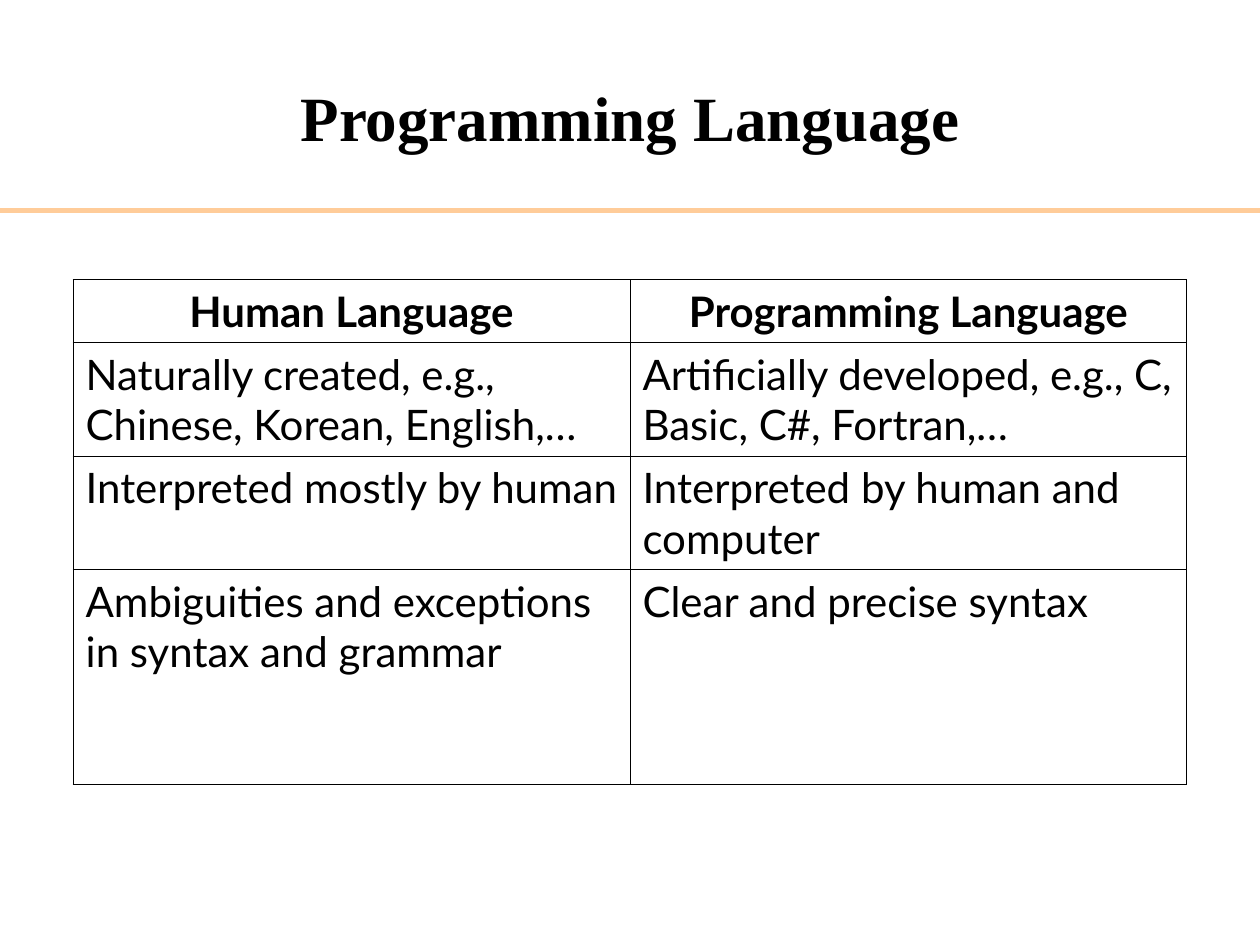
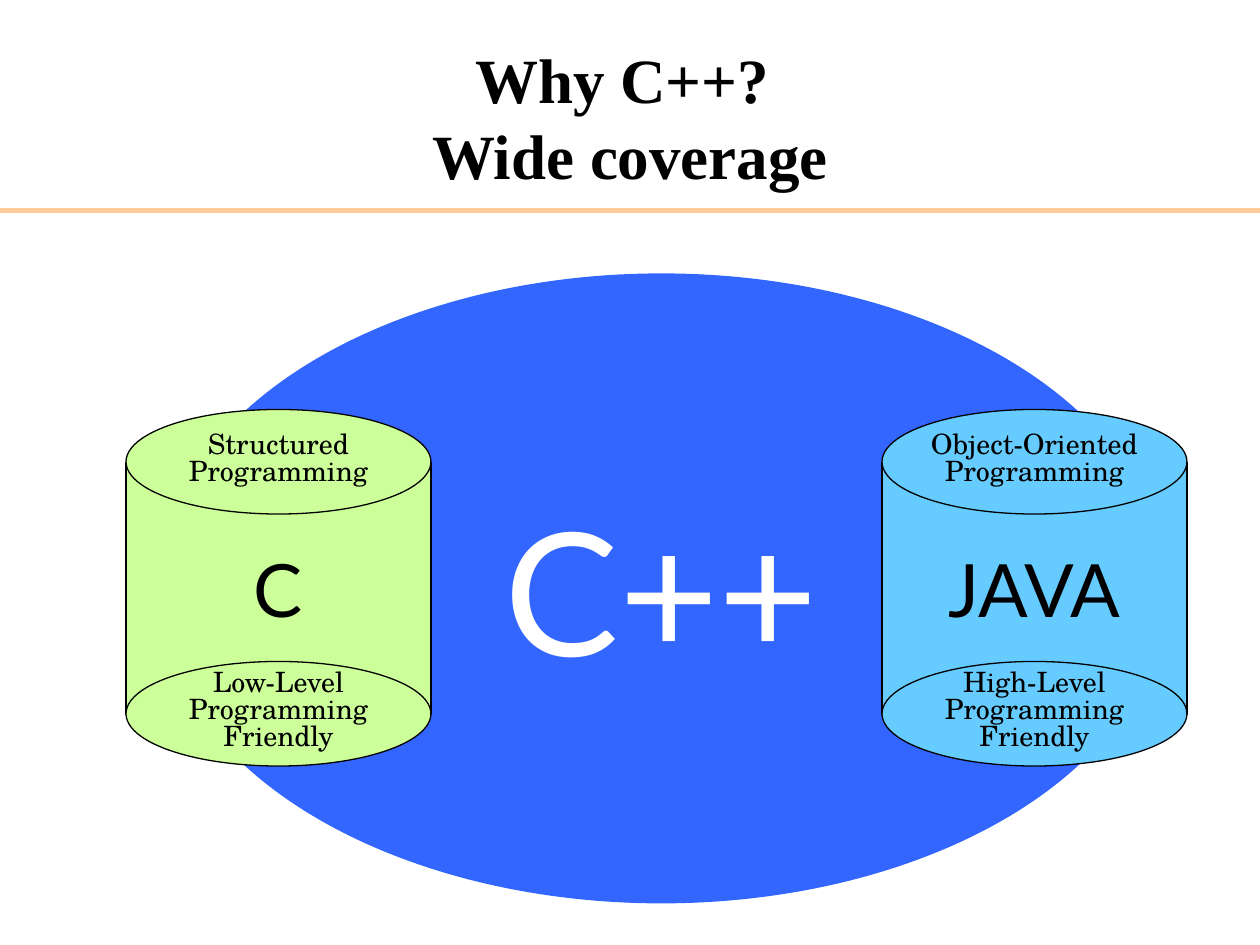
"""Build two slides: human and programming languages compared, and what C++ covers."""
import dataclasses

import pptx
import pptx.dml.color
import pptx.enum.shapes
import pptx.enum.text
import pptx.oxml
import pptx.oxml.ns
import pptx.util
from pptx.util import Inches


@dataclasses.dataclass(frozen=True)
class Theme:
    black: str = "000000"
    white: str = "FFFFFF"
    rule: str = "FFCC99"
    cover: str = "3366FF"
    green: str = "CCFF99"
    sky: str = "66CCFF"
    title_font: str = "Times New Roman"
    body_font: str = "Lato"
    label_font: str = "TeX Gyre Schola"
    title_size: float = 36
    table_size: float = 24
    label_size: float = 16
    name_size: float = 42
    cover_size: float = 98


theme = Theme()
color = pptx.dml.color.RGBColor.from_string
shapes = pptx.enum.shapes.MSO_SHAPE
centre = pptx.enum.text.PP_ALIGN.CENTER
left = pptx.enum.text.PP_ALIGN.LEFT
middle = pptx.enum.text.MSO_ANCHOR.MIDDLE
namespace = pptx.oxml.ns.nsdecls("a")


def write(frame, text, font, size, ink=theme.black, bold=False, align=centre, spacing=None, before=0):
    """Fill a text frame; a newline starts a paragraph, a vertical tab breaks a line."""
    for number, content in enumerate(text.split("\n")):
        para = frame.add_paragraph() if number else frame.paragraphs[0]
        para.alignment = align
        para.line_spacing = spacing
        para.space_before = pptx.util.Pt(before if number else 0)
        for position, part in enumerate(content.split("\v")):
            if position:
                para.add_line_break()
                para._p[-1].append(pptx.oxml.parse_xml(
                    f'<a:rPr {namespace} sz="{size * 100}"><a:latin typeface="{theme.body_font}"/></a:rPr>'))
            span = para.add_run()
            span.text = part
            span.font.name = font
            span.font.size = pptx.util.Pt(size)
            span.font.bold = bold
            span.font.color.rgb = color(ink)


def add_box(page, kind, place, fill, text, outline=theme.black, **style):
    """Add a filled shape with centred text that does not wrap."""
    box = page.shapes.add_shape(kind, *map(Inches, place))
    box.shadow.inherit = False
    box.fill.solid()
    box.fill.fore_color.rgb = color(fill)
    if outline:
        box.line.color.rgb = color(outline)
        box.line.width = pptx.util.Pt(0.75)
    else:
        box.line.fill.background()
    box.text_frame.word_wrap = False
    box.text_frame.vertical_anchor = middle
    write(box.text_frame, text, **style)


deck = pptx.Presentation()
deck.slide_width, deck.slide_height = Inches(10), Inches(7.5)

pages = []
for heading in ("Programming Language", "Why C++? \vWide coverage"):
    page = deck.slides.add_slide(deck.slide_layouts[5])
    rule = page.shapes.add_connector(
        pptx.enum.shapes.MSO_CONNECTOR.STRAIGHT, 0, Inches(1.67), Inches(10), Inches(1.67))
    rule.line.color.rgb = color(theme.rule)
    rule.line.width = pptx.util.Pt(3)
    rule._element.spPr.append(pptx.oxml.parse_xml(f"<a:effectLst {namespace}/>"))
    title = page.shapes.title
    title.left, title.top, title.width, title.height = map(Inches, (0.5, 0.3, 9, 1.25))
    title.text_frame.auto_size = pptx.enum.text.MSO_AUTO_SIZE.NONE
    title.text_frame.vertical_anchor = middle
    write(title.text_frame, heading, theme.title_font, theme.title_size, bold=True)
    pages.append(page)
comparison_page, coverage_page = pages

comparison = (
    ("Human Language", "Programming Language"),
    ("Naturally created, e.g., Chinese, Korean, English,…",
     "Artificially developed, e.g., C, Basic, C#, Fortran,…"),
    ("Interpreted mostly by human", "Interpreted by human and computer"),
    ("Ambiguities and exceptions in syntax and grammar", "Clear and precise syntax"),
)
row_heights = (0.5, 0.9, 0.9, 1.7)
table = comparison_page.shapes.add_table(
    len(comparison), 2, Inches(0.58), Inches(2.22), Inches(8.84), Inches(sum(row_heights))).table
table.first_row = table.horz_banding = False
for column in table.columns:
    column.width = Inches(4.42)
for row_number, (texts, height) in enumerate(zip(comparison, row_heights)):
    is_header = row_number == 0
    table.rows[row_number].height = Inches(height)
    for cell, text in zip(table.rows[row_number].cells, texts):
        write(cell.text_frame, text, theme.body_font, theme.table_size,
              bold=is_header, align=centre if is_header else left)
        properties = cell._tc.get_or_add_tcPr()
        for edge in ("lnL", "lnR", "lnT", "lnB"):
            properties.append(pptx.oxml.parse_xml(
                f'<a:{edge} {namespace} w="{pptx.util.Pt(0.45)}"><a:solidFill>'
                f'<a:srgbClr val="{theme.black}"/></a:solidFill></a:{edge}>'))
        cell.fill.background()

add_box(coverage_page, shapes.OVAL, (1.25, 2.17, 8, 5), theme.cover, "C++", outline=None,
        font=theme.body_font, size=theme.cover_size, ink=theme.white)
cylinders = (
    (1, theme.green, "C", "Structured\nProgramming", "Low-Level\nProgramming\nFriendly"),
    (7, theme.sky, "JAVA", "Object-Oriented\nProgramming", "High-Level\nProgramming\nFriendly"),
)
for x, fill, language, top_label, bottom_label in cylinders:
    add_box(coverage_page, shapes.RECTANGLE, (x, 3.67, 2.42, 2), fill, language,
            font=theme.body_font, size=theme.name_size)
    for y, label in ((3.25, top_label), (5.25, bottom_label)):
        add_box(coverage_page, shapes.OVAL, (x, y, 2.42, 0.83), fill, label,
                font=theme.label_font, size=theme.label_size, spacing=0.6, before=4)

deck.save("out.pptx")
